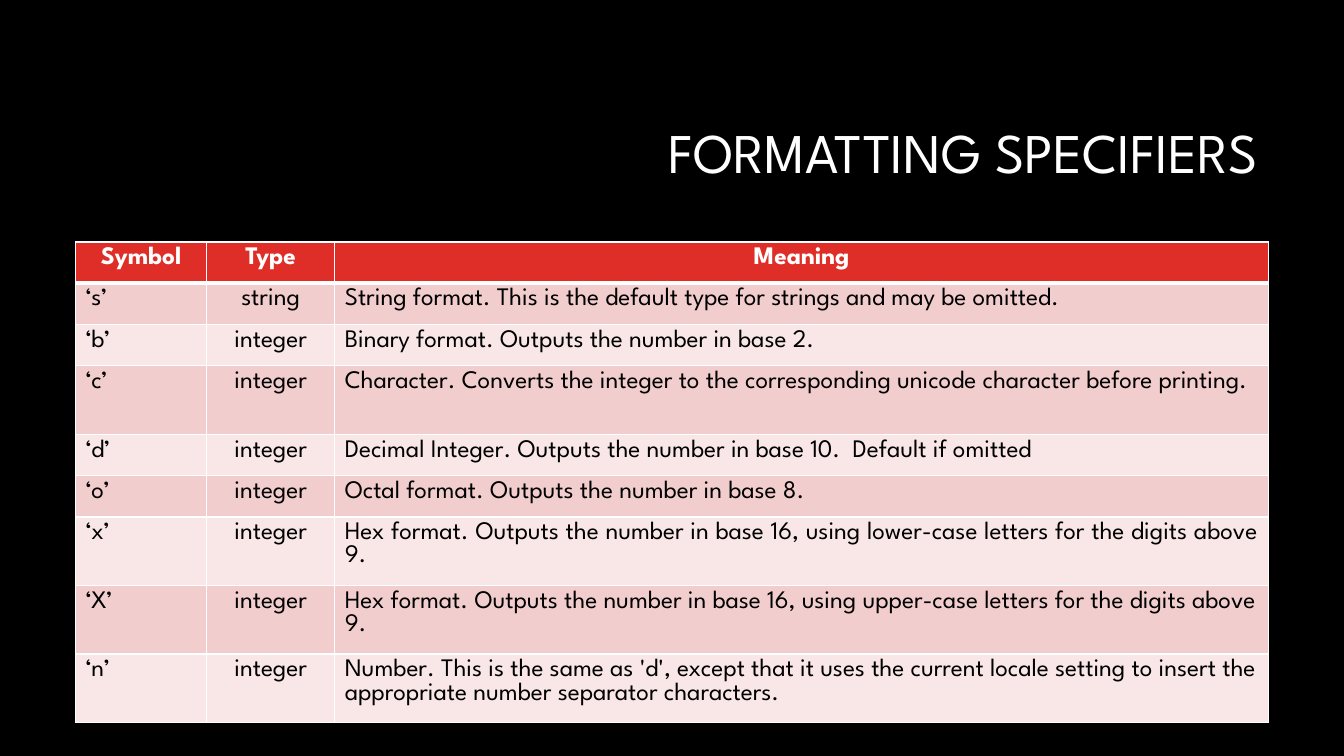
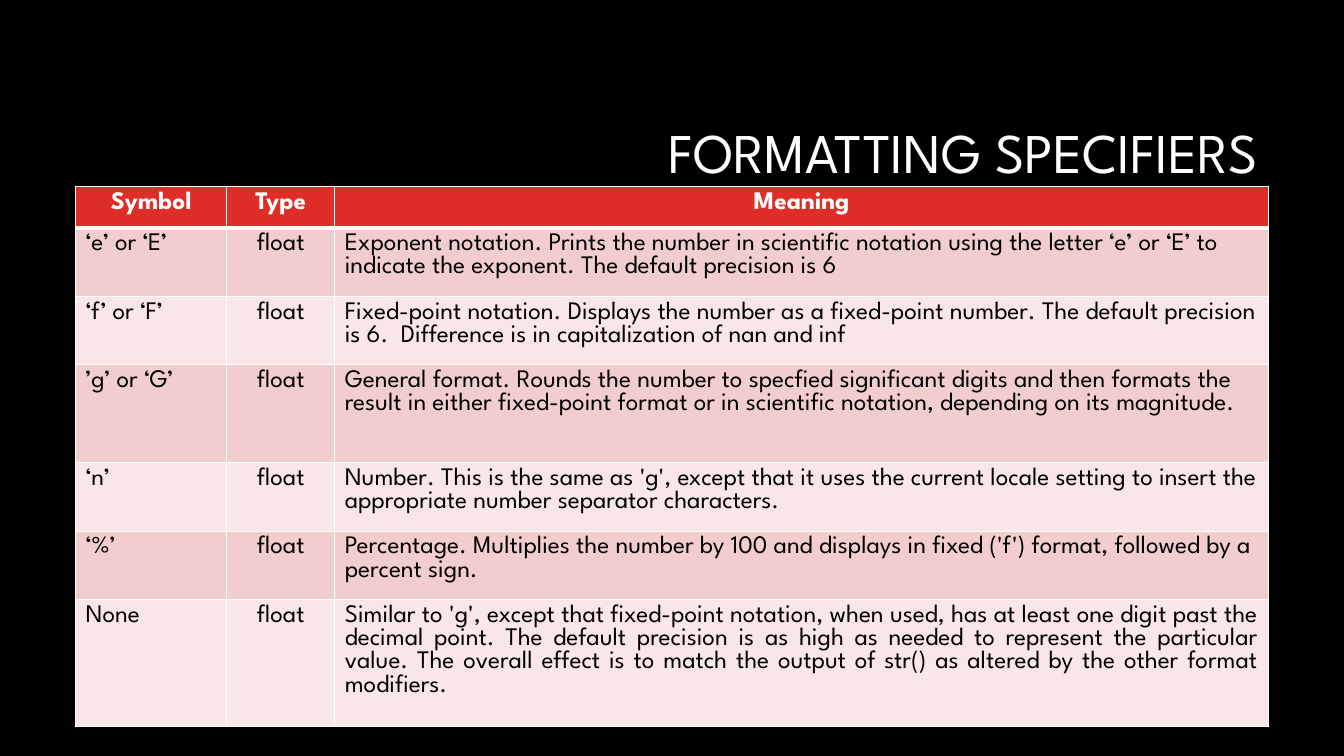
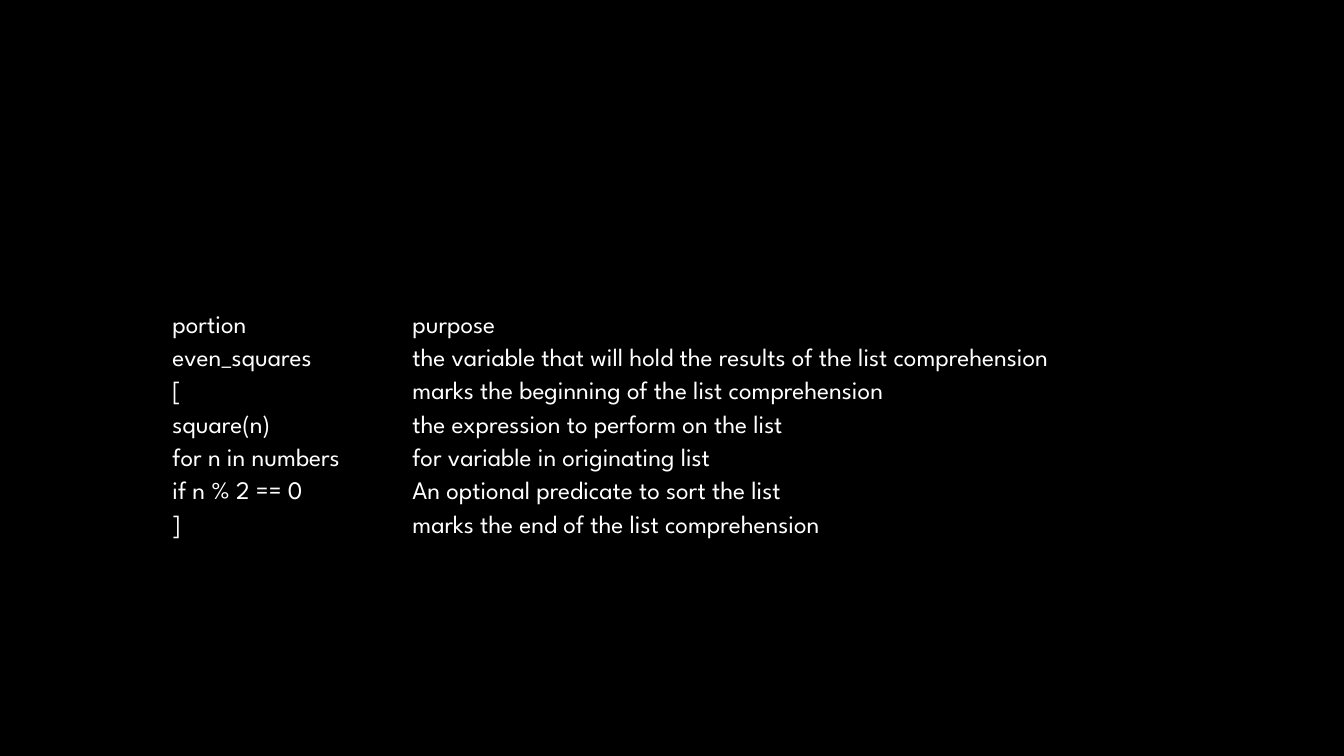
import dataclasses

import lxml.etree
import pptx
import pptx.dml.color
import pptx.enum.text
import pptx.oxml
import pptx.oxml.ns
import pptx.util

Inches = pptx.util.Inches
Align = pptx.enum.text.PP_ALIGN


@dataclasses.dataclass(frozen=True)
class Theme:
    font: str = "League Spartan"
    background: str = "000000"
    light: str = "FFFFFF"
    dark: str = "000000"
    header: str = "DF2E28"
    bands: tuple = ("F2CDCD", "F9E7E7")
    title_size: int = 40
    body_size: int = 18
    thin_line: float = 0.96
    thick_line: float = 3
    plain_table: str = "{2D5ABB26-0587-4C30-8999-92F81FD0307C}"


THEME = Theme()
TITLE_LAYOUT, BLANK_LAYOUT = 5, 6
TITLE_BOX = (3.17, 0.84, 9.41, 1.41)
SPECIFIER_HEADER = ("Symbol", "Type", "Meaning")

INTEGER_SPECIFIERS = [
    ("‘s’", "string", "String format. This is the default type for strings and may be omitted."),
    ("‘b’", "integer", "Binary format. Outputs the number in base 2."),
    ("‘c’", "integer", "Character. Converts the integer to the corresponding unicode character before printing."),
    ("‘d’", "integer", "Decimal Integer. Outputs the number in base 10.  Default if omitted"),
    ("‘o’", "integer", "Octal format. Outputs the number in base 8."),
    ("‘x’", "integer", "Hex format. Outputs the number in base 16, using lower-case letters for the digits above 9."),
    ("‘X’", "integer", "Hex format. Outputs the number in base 16, using upper-case letters for the digits above 9."),
    ("‘n’", "integer", "Number. This is the same as 'd', except that it uses the current locale setting to insert the appropriate number separator characters."),
]

FLOAT_SPECIFIERS = [
    ("‘e’ or ‘E’", "float", "Exponent notation. Prints the number in scientific notation using the letter ‘e’ or ‘E’ to indicate the exponent. The default precision is 6"),
    ("‘f’ or ‘F’", "float", "Fixed-point notation. Displays the number as a fixed-point number. The default precision is 6.  Difference is in capitalization of nan and inf"),
    ("’g’ or ‘G’", "float", "General format. Rounds the number to specfied significant digits and then formats the result in either fixed-point format or in scientific notation, depending on its magnitude."),
    ("‘n’", "float", "Number. This is the same as 'g', except that it uses the current locale setting to insert the appropriate number separator characters."),
    ("‘%’", "float", "Percentage. Multiplies the number by 100 and displays in fixed ('f') format, followed by a percent sign."),
    ("None", "float", "Similar to 'g', except that fixed-point notation, when used, has at least one digit past the decimal point. The default precision is as high as needed to represent the particular value. The overall effect is to match the output of str() as altered by the other format modifiers."),
]

COMPREHENSION_PARTS = [
    ("portion", "purpose"),
    ("even_squares", "the variable that will hold the results of the list comprehension"),
    ("[", "marks the beginning of the list comprehension"),
    ("square(n)", "the expression to perform on the list"),
    ("for n in numbers", "for variable in originating list"),
    ("if n % 2 == 0", "An optional predicate to sort the list"),
    ("]", "marks the end of the list comprehension"),
]


def rgb(color):
    return pptx.dml.color.RGBColor.from_string(color)


def format_text(paragraph, size, color, bold=False, align=Align.LEFT):
    paragraph.alignment = align
    for run in paragraph.runs:
        run.font.name = THEME.font
        run.font.size = pptx.util.Pt(size)
        run.font.bold = bold
        run.font.color.rgb = rgb(color)


def add_title(slide, box, text):
    title = slide.shapes.title
    title.left, title.top, title.width, title.height = map(Inches, box)
    frame = title.text_frame
    frame.text = text
    frame.word_wrap = True
    frame.auto_size = pptx.enum.text.MSO_AUTO_SIZE.NONE
    frame.vertical_anchor = pptx.enum.text.MSO_ANCHOR.MIDDLE
    frame.paragraphs[0].line_spacing = 0.9
    format_text(frame.paragraphs[0], THEME.title_size, THEME.light, align=Align.RIGHT)


def add_table(slide, left, top, widths, heights, rows):
    frame = slide.shapes.add_table(
        len(rows), len(widths), Inches(left), Inches(top),
        Inches(sum(widths)), Inches(sum(heights)))
    table = frame.table
    table.horz_banding = False
    properties = table._tbl.tblPr
    properties.find(pptx.oxml.ns.qn("a:tableStyleId")).text = THEME.plain_table
    for column, width in zip(table.columns, widths):
        column.width = Inches(width)
    for row, height, texts in zip(table.rows, heights, rows):
        row.height = Inches(height)
        for cell, text in zip(row.cells, texts):
            cell.text_frame.text = text
    return table


def set_borders(cell, widths):
    properties = cell._tc.get_or_add_tcPr()
    for side, width in widths.items():
        line = lxml.etree.SubElement(
            properties, pptx.oxml.ns.qn("a:ln" + side), w=str(pptx.util.Pt(width)))
        fill = lxml.etree.SubElement(line, pptx.oxml.ns.qn("a:solidFill"))
        lxml.etree.SubElement(fill, pptx.oxml.ns.qn("a:srgbClr"), val=THEME.light)


def add_specifier_slide(presentation, top, widths, heights, specifiers, justified):
    slide = presentation.slides.add_slide(presentation.slide_layouts[TITLE_LAYOUT])
    add_title(slide, TITLE_BOX, "FORMATTING SPECIFIERS")
    table = add_table(slide, 0.75, top, widths, heights, [SPECIFIER_HEADER] + specifiers)
    for row_index, row in enumerate(table.rows):
        is_header = row_index == 0
        fill = THEME.header if is_header else THEME.bands[(row_index - 1) % 2]
        borders = {
            "L": THEME.thin_line,
            "R": THEME.thin_line,
            "T": THEME.thick_line if row_index == 1 else THEME.thin_line,
            "B": THEME.thick_line if is_header else THEME.thin_line,
        }
        meaning_align = Align.JUSTIFY if row_index == justified else Align.LEFT
        aligns = [Align.CENTER] * 3 if is_header else [Align.LEFT, Align.CENTER, meaning_align]
        for cell, align in zip(row.cells, aligns):
            set_borders(cell, borders)
            cell.fill.solid()
            cell.fill.fore_color.rgb = rgb(fill)
            format_text(cell.text_frame.paragraphs[0], THEME.body_size,
                        THEME.light if is_header else THEME.dark, is_header, align)


def add_comprehension_slide(presentation):
    slide = presentation.slides.add_slide(presentation.slide_layouts[BLANK_LAYOUT])
    heights = [0.33] * len(COMPREHENSION_PARTS)
    table = add_table(slide, 1.61, 3.08, (2.38, 7.72), heights, COMPREHENSION_PARTS)
    for cell in table.iter_cells():
        cell.fill.background()
        format_text(cell.text_frame.paragraphs[0], THEME.body_size, THEME.light)


def main():
    presentation = pptx.Presentation()
    presentation.slide_width = Inches(13.33)
    presentation.slide_height = Inches(7.5)
    background = presentation.slide_master.background.fill
    background.solid()
    background.fore_color.rgb = rgb(THEME.background)

    short, tall = 0.41, 0.68
    add_specifier_slide(
        presentation, 2.4, (1.3, 1.27, 9.26),
        (short, short, short, tall, short, short, tall, tall, tall),
        INTEGER_SPECIFIERS, justified=6)
    add_specifier_slide(
        presentation, 1.85, (1.5, 1.07, 9.26),
        (short, tall, tall, 0.97, tall, tall, 1.26),
        FLOAT_SPECIFIERS, justified=6)
    add_comprehension_slide(presentation)
    presentation.save("out.pptx")


if __name__ == "__main__":
    main()
